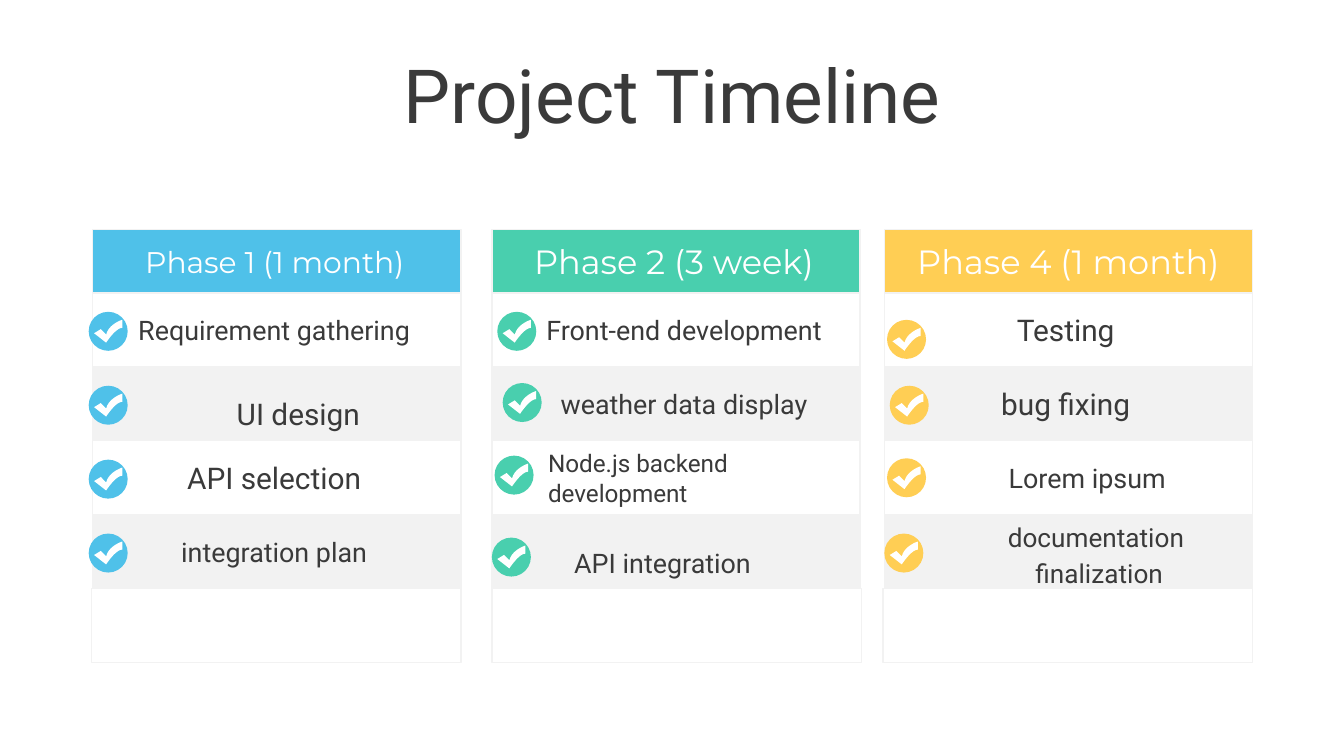
from dataclasses import dataclass

from pptx import Presentation
from pptx.dml.color import RGBColor
from pptx.enum.shapes import MSO_SHAPE as Preset
from pptx.enum.text import MSO_ANCHOR as Anchor, PP_ALIGN as Align
from pptx.util import Inches, Pt


@dataclass(frozen=True)
class Theme:
    ink: str = "3A3A3A"
    white: str = "FFFFFF"
    grey: str = "F2F2F2"
    blue: str = "4FC1E9"
    green: str = "49CFAE"
    yellow: str = "FFCE54"
    body_font: str = "Roboto"
    header_font: str = "Montserrat"
    title_size: float = 40
    header_size: float = 18
    large: float = 16
    medium: float = 14.4
    compact: float = 14
    small: float = 13
    border: float = 0.75


@dataclass(frozen=True)
class Task:
    text: str
    size: float
    left: float
    badge: tuple
    shift: float = 0
    width: float = 2.54
    height: float = 0.55
    align: Align = Align.CENTER


@dataclass(frozen=True)
class Phase:
    title: str
    size: float
    left: float
    footer_left: float
    title_left: float
    title_width: float
    accent: str
    tasks: tuple


THEME = Theme()
SLIDE_WIDTH = 10
SLIDE_HEIGHT = SLIDE_WIDTH * 9 / 16
HEADER_TOP, HEADER_HEIGHT = 1.71, 0.47
ROWS_TOP, ROW_HEIGHT = 2.18, 0.55
COLUMN_WIDTH, FOOTER_WIDTH = 2.74, 2.75
BADGE_SIZE = 0.29

PHASES = (
    Phase("Phase 1 (1 month)", THEME.large, 0.69, 0.68, 0.76, 2.57, THEME.blue, (
        Task("Requirement gathering", THEME.medium, 0.77, (0.66, 2.32)),
        Task("UI design", THEME.large, 0.95, (0.66, 2.87), shift=0.07),
        Task("API selection", THEME.large, 0.77, (0.66, 3.42)),
        Task("integration plan", THEME.medium, 0.77, (0.66, 3.97)),
    )),
    Phase("Phase 2 (3 week)", THEME.header_size, 3.66, 3.66, 3.73, 2.57, THEME.green, (
        Task("Front-end development", THEME.medium, 3.82, (3.7, 2.32)),
        Task("weather data display", THEME.medium, 3.82, (3.74, 2.85)),
        Task("Node.js backend development", THEME.small, 3.98, (3.68, 3.39),
             shift=0.1, height=0.35, align=Align.LEFT),
        Task("API integration", THEME.medium, 3.66, (3.66, 4), shift=0.08),
    )),
    Phase("Phase 4 (1 month)", THEME.header_size, 6.58, 6.57, 6.6, 2.7, THEME.yellow, (
        Task("Testing", THEME.large, 6.66, (6.6, 2.38)),
        Task("bug fixing", THEME.large, 6.66, (6.62, 2.87)),
        Task("Lorem ipsum", THEME.medium, 6.82, (6.6, 3.41)),
        Task("documentation\n finalization", THEME.compact, 6.73, (6.58, 3.97),
             shift=-0.04, width=2.85, height=0.68),
    )),
)


def curve(start, first, second, end, steps=10):
    """Return points along a cubic curve, without its start."""
    points = []
    for step in range(1, steps + 1):
        t = step / steps
        weights = ((1 - t) ** 3, 3 * t * (1 - t) ** 2, 3 * t * t * (1 - t), t ** 3)
        points.append(tuple(
            sum(weight * value for weight, value in zip(weights, values))
            for values in zip(start, first, second, end)))
    return points


# Offsets from the badge's top left corner.
TICK_TIP, TICK_FOOT = (0.25, 0.06), (0.13, 0.23)
TICK = [
    TICK_TIP,
    *curve(TICK_TIP, TICK_TIP, (0.15, 0.09), (0.13, 0.17)),
    (0.09, 0.13), (0.04, 0.16), TICK_FOOT,
    *curve(TICK_FOOT, TICK_FOOT, (0.2, 0.12), (0.25, 0.12)),
]


class SlideBuilder:
    def __init__(self, slide, theme):
        self.slide = slide
        self.theme = theme

    def paint(self, shape, fill, line=None):
        shape.shadow.inherit = False
        shape.fill.solid()
        shape.fill.fore_color.rgb = RGBColor.from_string(fill)
        if line:
            shape.line.color.rgb = RGBColor.from_string(line)
            shape.line.width = Pt(self.theme.border)
        else:
            shape.line.fill.background()

    def add_cell(self, left, top, width, height, fill):
        cell = self.slide.shapes.add_shape(
            Preset.RECTANGLE, Inches(left), Inches(top), Inches(width), Inches(height))
        self.paint(cell, fill, self.theme.grey)

    def add_text(self, text, left, top, width, height, *, size, color=None,
                 font=None, align=Align.CENTER, space_before=0.2):
        """Add a text box; space_before is a share of the type size."""
        box = self.slide.shapes.add_textbox(
            Inches(left), Inches(top), Inches(width), Inches(height))
        frame = box.text_frame
        frame.word_wrap = True
        frame.vertical_anchor = Anchor.MIDDLE
        frame.text = text
        for paragraph in frame.paragraphs:
            paragraph.alignment = align
            paragraph.space_before = Pt(size * space_before)
            for run in paragraph.runs:
                run.font.size = Pt(size)
                run.font.name = font or self.theme.body_font
                run.font.color.rgb = RGBColor.from_string(color or self.theme.ink)

    def add_badge(self, left, top, accent):
        """Add a round badge with a white tick."""
        group = self.slide.shapes.add_group_shape()
        circle = group.shapes.add_shape(
            Preset.OVAL, Inches(left), Inches(top), Inches(BADGE_SIZE), Inches(BADGE_SIZE))
        self.paint(circle, accent)
        points = [(Inches(left + x), Inches(top + y)) for x, y in TICK]
        outline = group.shapes.build_freeform(*points[0])
        outline.add_line_segments(points[1:], close=True)
        self.paint(outline.convert_to_shape(), self.theme.white)

    def add_column(self, phase):
        self.add_cell(phase.left, HEADER_TOP, COLUMN_WIDTH, HEADER_HEIGHT, phase.accent)
        self.add_text(phase.title, phase.title_left, HEADER_TOP, phase.title_width,
                      HEADER_HEIGHT, size=phase.size, color=self.theme.white,
                      font=self.theme.header_font)
        tops = [ROWS_TOP + row * ROW_HEIGHT for row in range(len(phase.tasks) + 1)]
        for row, top in enumerate(tops[:-1]):
            self.add_cell(phase.left, top, COLUMN_WIDTH, ROW_HEIGHT,
                          self.theme.grey if row % 2 else self.theme.white)
        self.add_cell(phase.footer_left, tops[-1], FOOTER_WIDTH, ROW_HEIGHT,
                      self.theme.white)
        for task, top in zip(phase.tasks, tops):
            self.add_text(task.text, task.left, top + task.shift, task.width,
                          task.height, size=task.size, align=task.align)
            self.add_badge(*task.badge, phase.accent)


def main():
    presentation = Presentation()
    presentation.slide_width = Inches(SLIDE_WIDTH)
    presentation.slide_height = Inches(SLIDE_HEIGHT)
    slide = presentation.slides.add_slide(presentation.slide_layouts[6])
    builder = SlideBuilder(slide, THEME)
    builder.add_text("Project Timeline", 0.5, 0.23, 9, 0.94,
                     size=THEME.title_size, space_before=0)
    for phase in PHASES:
        builder.add_column(phase)
    presentation.save("out.pptx")


if __name__ == "__main__":
    main()
